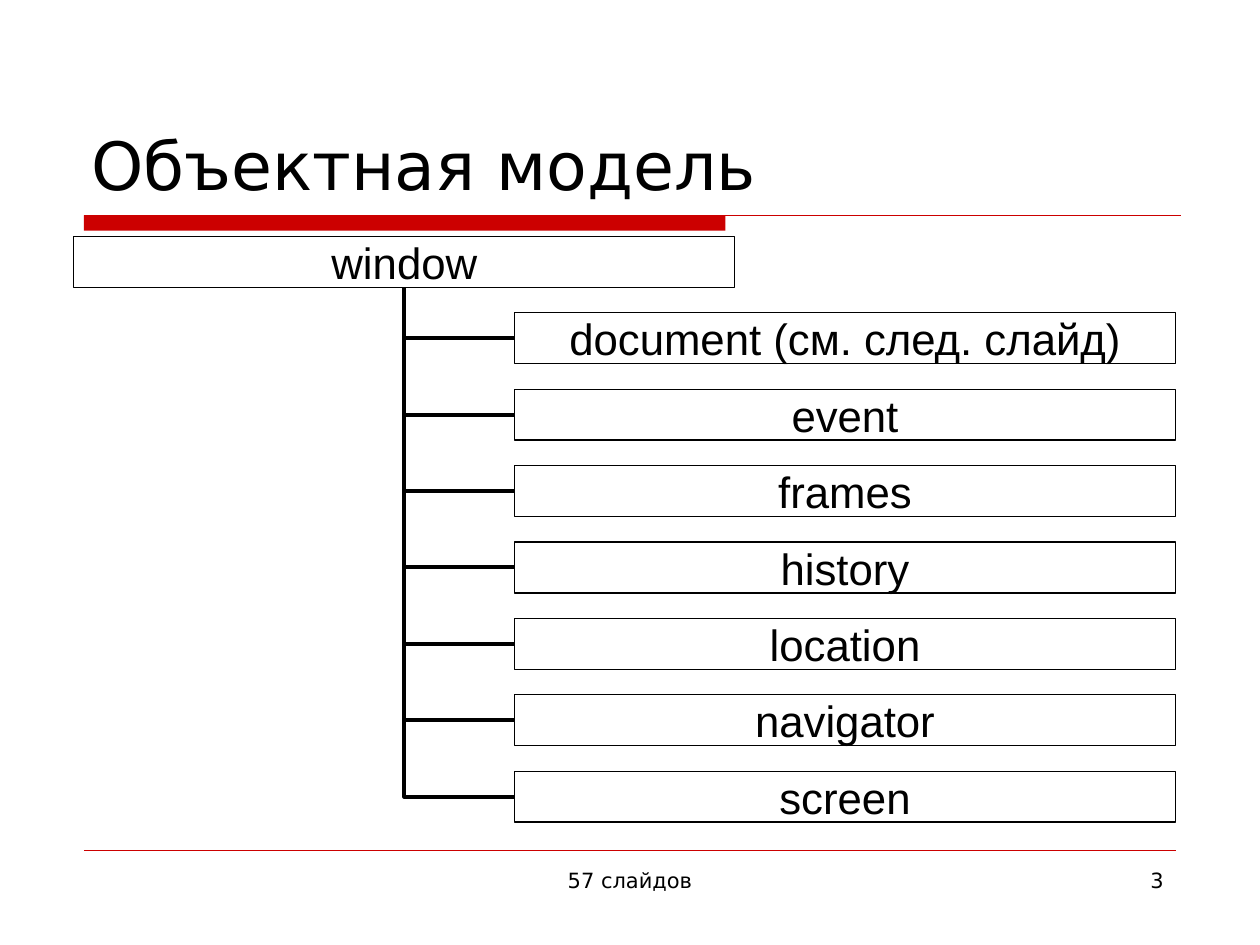
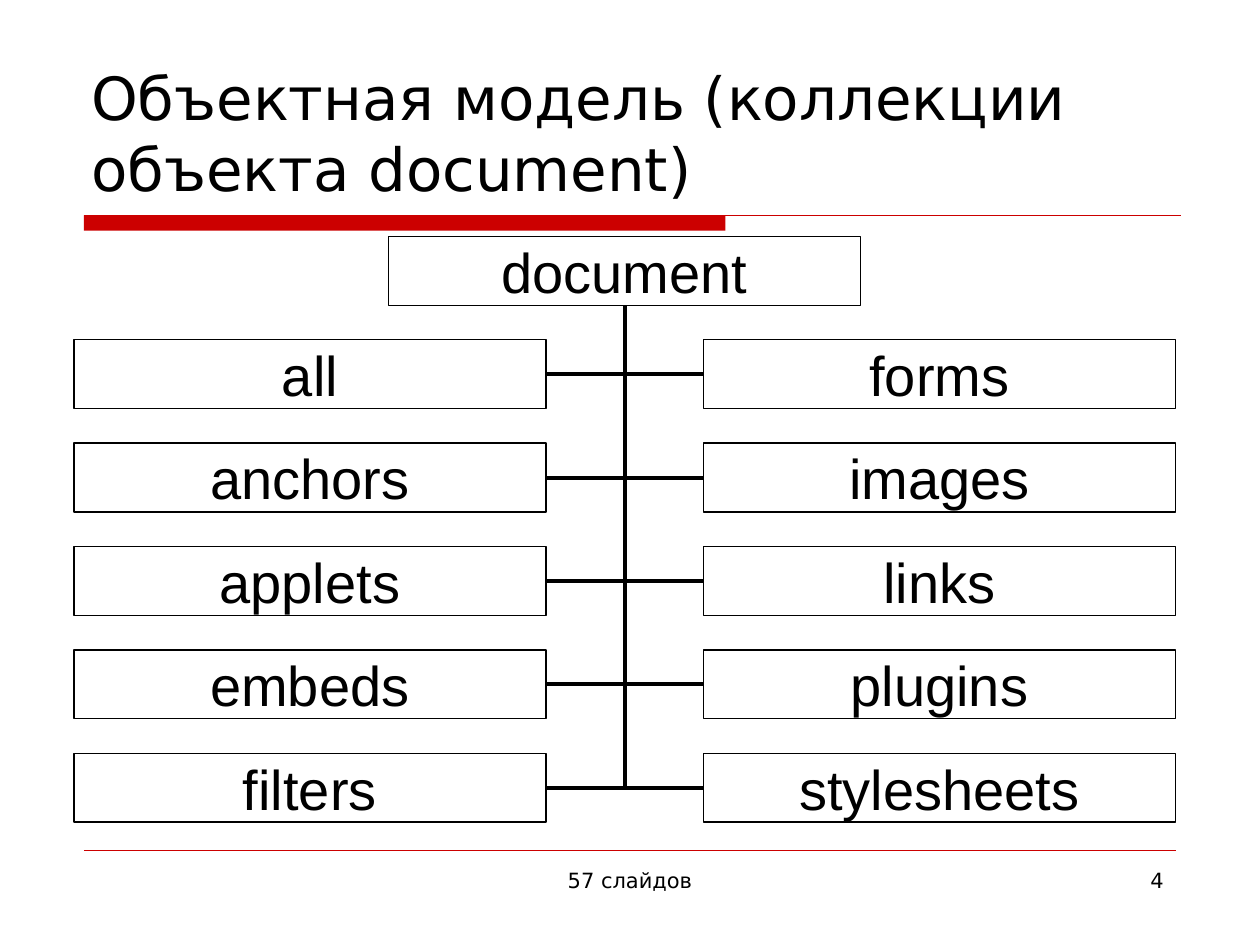
from dataclasses import dataclass

from lxml.etree import SubElement
from pptx import Presentation
from pptx.dml.color import RGBColor
from pptx.enum.shapes import MSO_CONNECTOR, MSO_SHAPE
from pptx.enum.text import MSO_ANCHOR, PP_ALIGN
from pptx.oxml.ns import qn
from pptx.shapes.autoshape import Shape
from pptx.shapes.connector import Connector
from pptx.slide import Slide
from pptx.util import Pt

# Shared style
BLACK, RED = "000000", "CC0000"
TITLE_FONT, BOX_FONT = "DejaVu Sans", "Arial"
FOOTER = "57 слайдов"
RULE_LEFT, RULE_TOP = 48, 123.1

# Area filled by each object tree
TREE_LEFT, TREE_TOP, TREE_WIDTH, TREE_HEIGHT = 42.2, 135.1, 629.5, 334.7
TOP, LEFT, BOTTOM, RIGHT = range(4)  # connection sites of a rectangle


@dataclass
class Tree:
    number: int
    title: str
    title_size: float
    root: str
    columns: list[list[str]]
    box_size: float


TREES = [
    Tree(3, "Объектная модель", 38, "window",
         [["document (см. след. слайд)", "event", "frames", "history",
           "location", "navigator", "screen"]], 25),
    Tree(4, "Объектная модель (коллекции объекта document)", 34, "document",
         [["all", "anchors", "applets", "embeds", "filters"],
          ["forms", "images", "links", "plugins", "stylesheets"]], 32),
]


def color(value: str) -> RGBColor:
    return RGBColor.from_string(value)


def put_text(sp: Shape, text: str, *, size: float, font: str = TITLE_FONT,
             align: PP_ALIGN = PP_ALIGN.LEFT, anchor: MSO_ANCHOR = MSO_ANCHOR.TOP,
             margins: tuple[float, float] = (7.2, 3.6), wrap: bool = True) -> None:
    tf = sp.text_frame
    tf.word_wrap = wrap
    tf.vertical_anchor = anchor
    tf.margin_left = tf.margin_right = Pt(margins[0])
    tf.margin_top = tf.margin_bottom = Pt(margins[1])
    p = tf.paragraphs[0]
    p.alignment = align
    r = p.add_run()
    r.text = text
    r.font.size = Pt(size)
    r.font.name = font
    r.font.color.rgb = color(BLACK)


def add_label(s: Slide, text: str, x: float, y: float, w: float, h: float,
              **fmt) -> None:
    put_text(s.shapes.add_textbox(Pt(x), Pt(y), Pt(w), Pt(h)), text, **fmt)


def add_rect(s: Slide, x: float, y: float, w: float, h: float) -> Shape:
    sp = s.shapes.add_shape(MSO_SHAPE.RECTANGLE, Pt(x), Pt(y), Pt(w), Pt(h))
    sp.shadow.inherit = False
    return sp


def style_line(line: Connector, width: float, ink: str) -> None:
    line.line.width = Pt(width)
    line.line.color.rgb = color(ink)
    SubElement(line._element.spPr, qn("a:effectLst"))


def add_rule(s: Slide, y: float, right: float, width: float) -> None:
    line = s.shapes.add_connector(MSO_CONNECTOR.STRAIGHT, Pt(RULE_LEFT), Pt(y),
                                  Pt(right), Pt(y))
    style_line(line, width, RED)


def add_frame(s: Slide, tree: Tree) -> None:
    # Red band and rules
    band = add_rect(s, RULE_LEFT, RULE_TOP, 366.5, 8.8)
    band.fill.solid()
    band.fill.fore_color.rgb = color(RED)
    band.line.fill.background()
    add_rule(s, RULE_TOP, 674.8, 0.74)
    add_rule(s, 486, 672, 0.26)
    # Title and footer
    add_label(s, tree.title, 45, 24, 630, 96, size=tree.title_size,
              anchor=MSO_ANCHOR.BOTTOM)
    add_label(s, FOOTER, 246, 492, 228, 37.5, size=12, align=PP_ALIGN.CENTER)
    add_label(s, str(tree.number), 516, 492, 156, 37.5, size=12,
              align=PP_ALIGN.RIGHT)


def add_box(s: Slide, text: str, x: float, y: float, w: float, h: float,
            size: float) -> Shape:
    sp = add_rect(s, x, y, w, h)
    sp.fill.background()
    sp.line.width = Pt(0.74)
    sp.line.color.rgb = color(BLACK)
    put_text(sp, text, size=size, font=BOX_FONT, align=PP_ALIGN.CENTER,
             anchor=MSO_ANCHOR.MIDDLE, margins=(0, 0), wrap=False)
    return sp


def add_branch(s: Slide, child: Shape, site: int, root: Shape) -> None:
    line = s.shapes.add_connector(MSO_CONNECTOR.ELBOW, 0, 0, 0, 0)
    line.begin_connect(child, site)
    line.end_connect(root, BOTTOM)
    line._element.spPr.find(qn("a:prstGeom")).set("prst", "bentConnector2")
    style_line(line, 2.24, BLACK)


def add_tree(s: Slide, tree: Tree) -> None:
    # Row gaps are half a box high; columns are stepped in thirds of a box
    two_sided = len(tree.columns) == 2
    h = TREE_HEIGHT / (1 + 1.5 * len(tree.columns[0]))
    w = TREE_WIDTH * 3 / (7 if two_sided else 5)
    right = TREE_LEFT + TREE_WIDTH - w
    root_left = (TREE_LEFT + right) / 2 if two_sided else TREE_LEFT
    sides = [(TREE_LEFT, RIGHT), (right, LEFT)][-len(tree.columns):]

    root = add_box(s, tree.root, root_left, TREE_TOP, w, h, tree.box_size)
    for names, (x, site) in zip(tree.columns, sides):
        for row, name in enumerate(names, start=1):
            child = add_box(s, name, x, TREE_TOP + row * 1.5 * h, w, h,
                            tree.box_size)
            add_branch(s, child, site, root)


prs = Presentation()
prs.slide_width, prs.slide_height = Pt(720), Pt(540)
for tree in TREES:
    s = prs.slides.add_slide(prs.slide_layouts[6])
    add_frame(s, tree)
    add_tree(s, tree)
prs.save("out.pptx")
